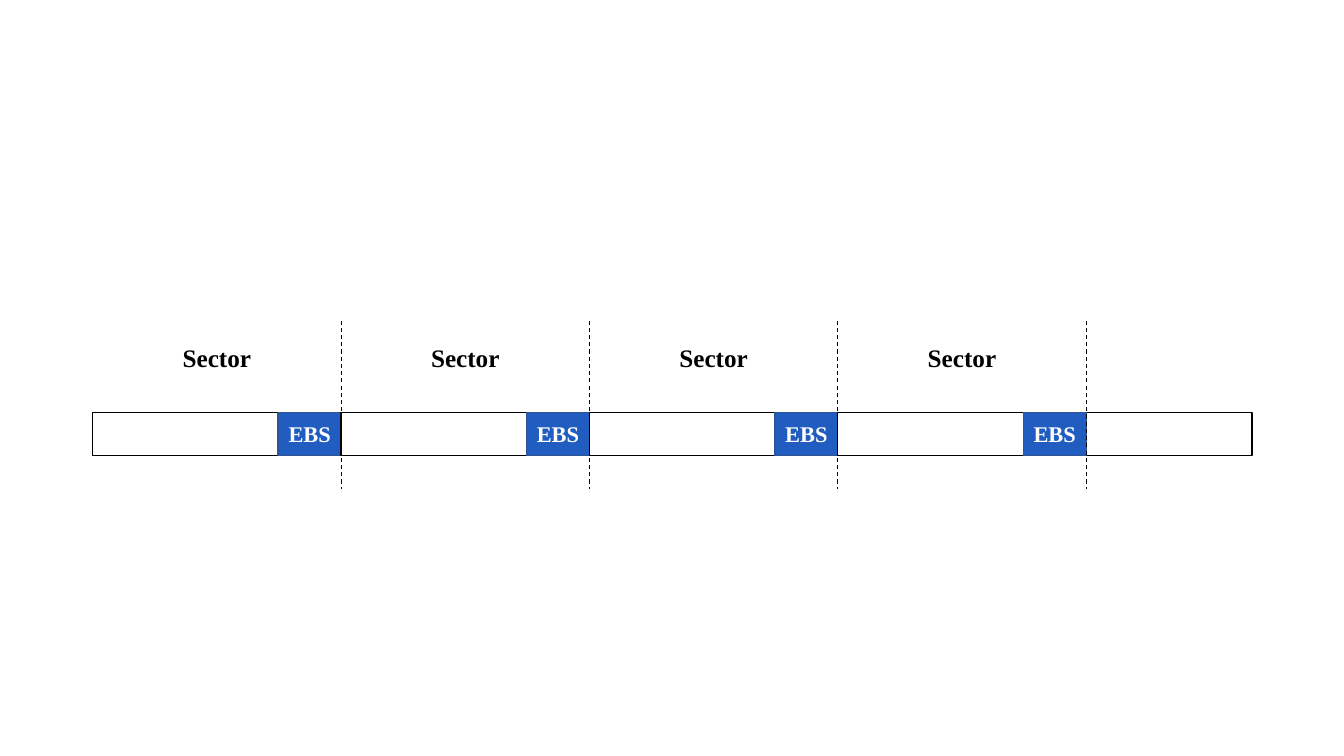
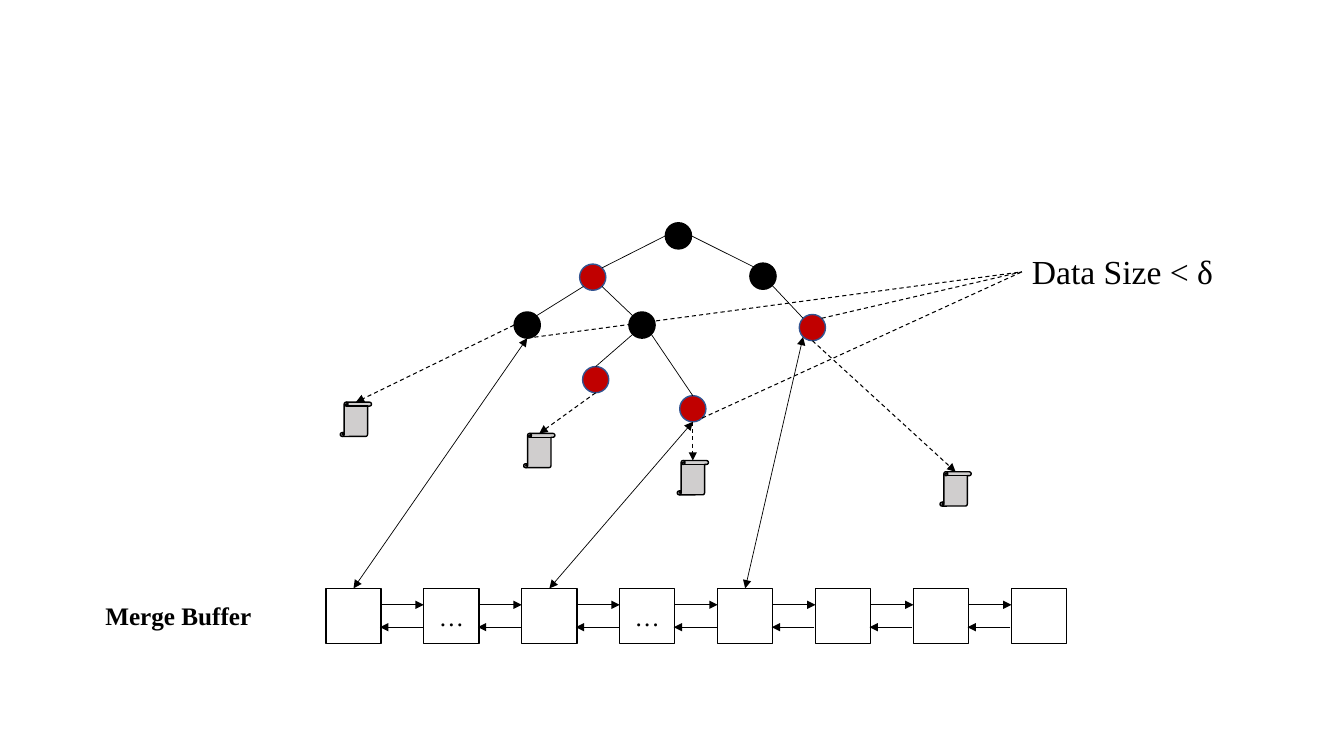
from lxml import etree
from pptx import Presentation
from pptx.dml.color import RGBColor
from pptx.enum import dml, shapes, text
from pptx.oxml.ns import qn
from pptx.util import Pt

FONT = "Times New Roman"
BLACK = RGBColor(0x00, 0x00, 0x00)
WHITE = RGBColor(0xFF, 0xFF, 0xFF)
BLUE = RGBColor(0x21, 0x5C, 0xC1)
NAVY = RGBColor(0x32, 0x54, 0x91)
RED = RGBColor(0xC0, 0x00, 0x00)
GRAY = RGBColor(0xD0, 0xCE, 0xCE)
SHAPE = shapes.MSO_SHAPE
CENTER = text.PP_ALIGN.CENTER
LEFT = text.PP_ALIGN.LEFT


class Diagram:
    """Draws styled elements on the current slide, in points."""

    def __init__(self, prs):
        self.prs = prs
        self.s = None

    def new_slide(self):
        """Start a blank slide."""
        self.s = self.prs.slides.add_slide(self.prs.slide_layouts[6])

    def set_text(self, tf, words, size, color=BLACK, bold=False, align=CENTER):
        """Set and format the text of a frame."""
        tf.text = words
        p = tf.paragraphs[0]
        p.alignment = align
        font = p.runs[0].font
        font.name, font.size, font.bold = FONT, Pt(size), bold
        font.color.rgb = color

    def shape(self, kind, x, y, w, h, fill=WHITE, line=BLACK):
        """Add a filled and outlined preset shape."""
        sp = self.s.shapes.add_shape(kind, Pt(x), Pt(y), Pt(w), Pt(h))
        sp.shadow.inherit = False
        sp.fill.solid()
        sp.fill.fore_color.rgb = fill
        sp.line.color.rgb = line
        sp.line.width = Pt(1)
        return sp

    def box(self, x, y, w, h, words="", size=18, color=BLACK, bold=False, **style):
        """Add a rectangle with optional centred text."""
        sp = self.shape(SHAPE.RECTANGLE, x, y, w, h, **style)
        if words:
            tf = sp.text_frame
            tf.margin_left = tf.margin_right = 0
            tf.vertical_anchor = text.MSO_ANCHOR.MIDDLE
            self.set_text(tf, words, size, color, bold)

    def label(self, words, x, y, w, h, size=18, bold=True, align=CENTER):
        """Add a free-standing text box."""
        tf = self.s.shapes.add_textbox(Pt(x), Pt(y), Pt(w), Pt(h)).text_frame
        tf.word_wrap = True
        tf.auto_size = text.MSO_AUTO_SIZE.SHAPE_TO_FIT_TEXT
        self.set_text(tf, words, size, bold=bold, align=align)

    def line(self, start, end, dashed=False, arrows=()):
        """Add a straight line; arrows names the ends that carry a head."""
        c = self.s.shapes.add_connector(
            shapes.MSO_CONNECTOR.STRAIGHT, *map(Pt, start + end))
        c.line.color.rgb = BLACK
        c.line.width = Pt(0.75 if dashed else 0.5)
        if dashed:
            c.line.dash_style = dml.MSO_LINE.DASH
        props = c._element.spPr
        ln = props.find(qn("a:ln"))
        for arrow in arrows:
            etree.SubElement(ln, qn("a:" + arrow), type="triangle")
        etree.SubElement(props, qn("a:effectLst"))


def sector_slide(d):
    """Draw a disk strip whose sectors each end in an EBS block."""
    d.new_slide()
    left, top, height = 66.24, 294.5, 31
    sector, block, label = 177.4, 44.9, 95
    starts = [left + i * sector for i in range(4)]
    d.box(left, top, 828, height)
    for x in starts:
        end = x + sector
        d.box(x, top, sector, height)
        d.box(end - block, top, block, height, "EBS", 16, WHITE, True,
              fill=BLUE, line=NAVY)
        d.label("Sector", x + (sector - label) / 2, 241.2, label, 29)
    for x in starts:
        d.line((x + sector, 229), (x + sector, 349.2), dashed=True)


NODE = 18.7
NODES = {  # name: (centre x, centre y, fill)
    "root": (484.6, 168.5, BLACK),
    "l": (423.4, 198, RED),
    "r": (545, 197.3, BLACK),
    "ll": (376.6, 232.2, BLACK),
    "lr": (458.6, 232.2, BLACK),
    "rr": (580.3, 234, RED),
    "lrl": (425.5, 271.2, RED),
    "lrr": (494.9, 292, RED),
}
DIAGONAL = 0.71
SIDES = {
    "top": (0, -1), "bottom": (0, 1), "left": (-1, 0), "right": (1, 0),
    "top left": (-DIAGONAL, -DIAGONAL), "top right": (DIAGONAL, -DIAGONAL),
    "bottom left": (-DIAGONAL, DIAGONAL), "bottom right": (DIAGONAL, DIAGONAL),
}
EDGES = [
    ("root", "left", "l", "top right"),
    ("root", "right", "r", "top left"),
    ("l", "bottom left", "ll", "top right"),
    ("l", "bottom right", "lr", "top left"),
    ("r", "bottom right", "rr", "top left"),
    ("lr", "bottom left", "lrl", "top"),
    ("lr", "bottom right", "lrr", "top"),
]
SCROLLS = [  # node, side, top centre of its scroll
    ("ll", "left", (254.2, 287.3)),
    ("lrl", "bottom", (385.2, 309.6)),
    ("lrr", "bottom", (494.9, 329)),
    ("rr", "bottom", (682.6, 337)),
]
BUFFERED = [(0, "ll", "bottom"), (2, "lrr", "bottom"), (4, "rr", "bottom left")]
SMALL = [("ll", "bottom"), ("lrr", "bottom right"), ("rr", "top right")]


def on_node(name, side):
    """Return the point on a node's rim at the given side."""
    x, y, _ = NODES[name]
    dx, dy = SIDES[side]
    return x + dx * NODE / 2, y + dy * NODE / 2


def tree_slide(d):
    """Draw a red-black tree linked to the merge buffer."""
    d.new_slide()
    for x, y, fill in NODES.values():
        d.shape(SHAPE.OVAL, x - NODE / 2, y - NODE / 2, NODE, NODE,
                fill, NAVY if fill == RED else BLACK)
    for parent, start, child, end in EDGES:
        d.line(on_node(parent, start), on_node(child, end))

    for name, side, (x, y) in SCROLLS:
        d.line(on_node(name, side), (x, y), dashed=True, arrows=["tailEnd"])
        d.shape(SHAPE.VERTICAL_SCROLL, x - 11.15, y, 22.3, 24.5, GRAY)

    left, top, cell, pitch, count = 232.8, 420.3, 39.4, 69.95, 8
    for i in range(count):
        d.box(left + i * pitch, top, cell, cell, "…" if i in (1, 3) else "")
    for i in range(count - 1):
        start, end = left + i * pitch + cell, left + (i + 1) * pitch
        d.line((start, 432), (end, 432), arrows=["tailEnd"])
        d.line((end - 0.8, 448), (start - 0.8, 448), arrows=["tailEnd"])
    d.label("Merge Buffer", 67.7, 425, 119.5, 29)

    for i, name, side in BUFFERED:
        d.line((left + i * pitch + cell / 2, top), on_node(name, side),
               arrows=["headEnd", "tailEnd"])
    for name, side in SMALL:
        d.line(on_node(name, side), (730, 194.2), dashed=True)
    d.label("Data Size < δ", 730, 175.7, 202.3, 36, 24, False, LEFT)


def main():
    """Build and save the presentation."""
    prs = Presentation()
    prs.slide_width, prs.slide_height = Pt(960), Pt(540)
    d = Diagram(prs)
    sector_slide(d)
    tree_slide(d)
    prs.save("out.pptx")


main()
